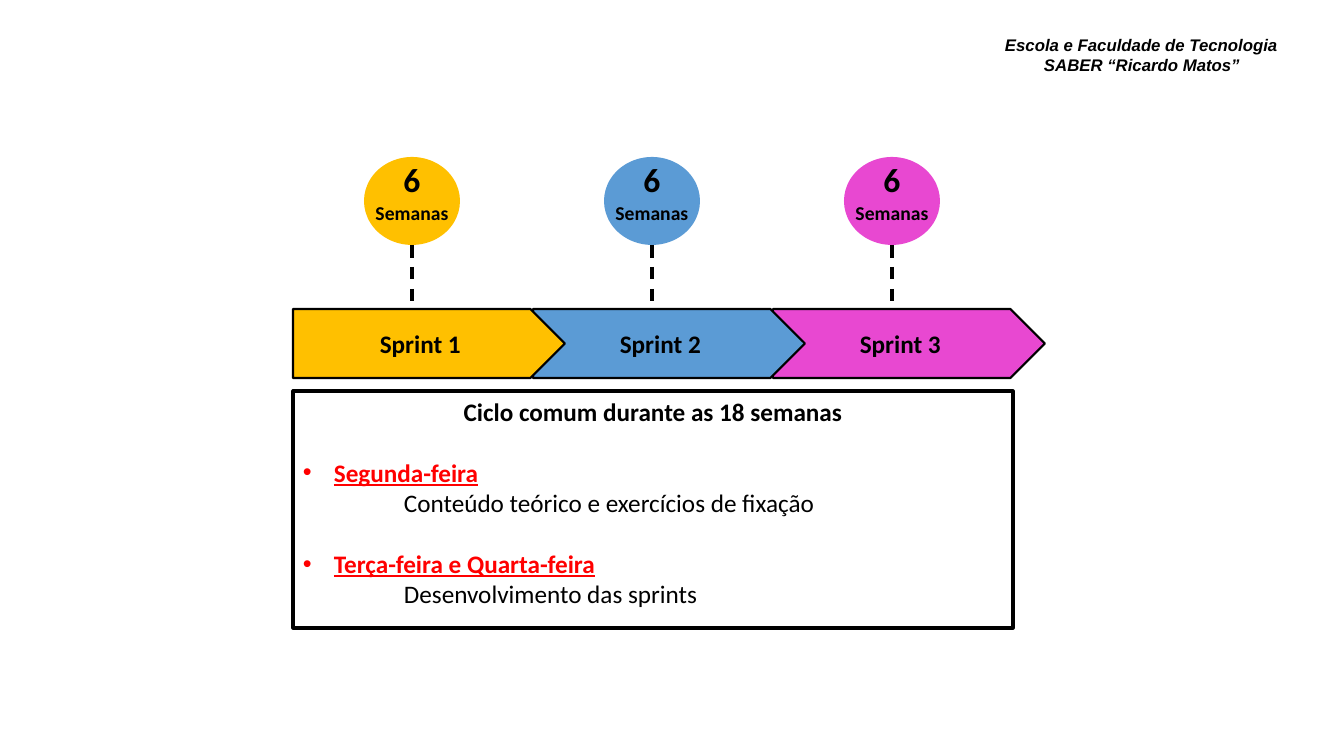
import dataclasses

import lxml.etree
import pptx
import pptx.dml.color
import pptx.enum.dml
import pptx.enum.shapes
import pptx.enum.text
import pptx.oxml.ns
import pptx.util

SHAPES = pptx.enum.shapes.MSO_SHAPE
CENTER = pptx.enum.text.PP_ALIGN.CENTER
MIDDLE = pptx.enum.text.MSO_ANCHOR.MIDDLE
QN = pptx.oxml.ns.qn


@dataclasses.dataclass(frozen=True)
class Theme:
    black: str = "000000"
    white: str = "FFFFFF"
    red: str = "FF0000"
    sprints: tuple = ("FFC000", "5B9BD5", "E848D1")
    body_font: str = "Calibri"
    header_font: str = "Arial"
    header_size: int = 12
    week_size: int = 14
    body_size: int = 18
    number_size: int = 24


theme = Theme()


def px(length):
    """Turn pixels (100.8 to the inch) into EMU."""
    return round(length * 914400 / 100.8)


def set_font(font, size, color=theme.black, bold=True, name=theme.body_font):
    font.name = name
    font.size = pptx.util.Pt(size)
    font.bold = bold
    font.color.rgb = pptx.dml.color.RGBColor.from_string(color)


presentation = pptx.Presentation()
presentation.slide_width, presentation.slide_height = px(1344), px(756)
slide = presentation.slides.add_slide(presentation.slide_layouts[6])
black = pptx.dml.color.RGBColor.from_string(theme.black)

# Header
header = slide.shapes.add_textbox(px(1004), px(35), px(276), px(66)).text_frame
header.word_wrap = True
header.margin_left = header.margin_right = header.margin_top = header.margin_bottom = 0
paragraph = header.paragraphs[0]
paragraph.text = "Escola e Faculdade de Tecnologia SABER “Ricardo Matos”"
paragraph.space_before = pptx.util.Pt(0.6)
set_font(paragraph.font, theme.header_size, name=theme.header_font)
paragraph.font.italic = True
properties = paragraph._p.get_or_add_pPr()
properties.set("marL", str(px(40)))
properties.set("indent", str(px(-39)))

# Timeline: the earlier sprint overlaps the later one, so draw from last to first
left, pitch = 293, 240
arrow_top, circle_top, circle_width, circle_height = 309, 157, 96, 88
for index in reversed(range(len(theme.sprints))):
    arrow_left = left + index * pitch
    center = arrow_left + 119
    color = pptx.dml.color.RGBColor.from_string(theme.sprints[index])

    circle = slide.shapes.add_shape(SHAPES.OVAL, px(center - circle_width / 2), px(circle_top),
                                    px(circle_width), px(circle_height))
    circle.shadow.inherit = False
    circle.fill.solid()
    circle.fill.fore_color.rgb = color
    circle.line.fill.background()

    weeks = slide.shapes.add_textbox(px(center - 55), px(169), px(110), px(60)).text_frame
    weeks.word_wrap = False
    weeks.vertical_anchor = MIDDLE
    paragraph = weeks.paragraphs[0]
    paragraph.alignment = CENTER
    paragraph.line_spacing = pptx.util.Pt(18)
    number = paragraph.add_run()
    number.text = "6"
    set_font(number.font, theme.number_size)
    paragraph.add_line_break()
    unit = paragraph.add_run()
    unit.text = "Semanas"
    set_font(unit.font, theme.week_size)

    stem = slide.shapes.add_connector(pptx.enum.shapes.MSO_CONNECTOR.STRAIGHT, px(center),
                                      px(circle_top + circle_height), px(center), px(arrow_top))
    stem.line.color.rgb = black
    stem.line.width = pptx.util.Pt(2.25)
    stem.line.dash_style = pptx.enum.dml.MSO_LINE.DASH
    lxml.etree.SubElement(stem._element.spPr, QN("a:effectLst"))

    arrow = slide.shapes.add_shape(SHAPES.PENTAGON, px(arrow_left), px(arrow_top), px(272), px(69))
    arrow.shadow.inherit = False
    arrow.fill.solid()
    arrow.fill.fore_color.rgb = color
    arrow.line.color.rgb = black
    arrow.line.width = pptx.util.Pt(1.5)
    arrow.text_frame.vertical_anchor = MIDDLE
    paragraph = arrow.text_frame.paragraphs[0]
    paragraph.text = f"Sprint {index + 1}"
    paragraph.alignment = CENTER
    set_font(paragraph.font, theme.body_size)

# Weekly cycle
cycle = slide.shapes.add_shape(SHAPES.RECTANGLE, px(left), px(391), px(720), px(237))
cycle.shadow.inherit = False
cycle.fill.solid()
cycle.fill.fore_color.rgb = pptx.dml.color.RGBColor.from_string(theme.white)
cycle.line.color.rgb = black
cycle.line.width = pptx.util.Pt(2.25)
frame = cycle.text_frame
frame.word_wrap = True
frame.vertical_anchor = pptx.enum.text.MSO_ANCHOR.TOP
paragraph = frame.paragraphs[0]
paragraph.text = "Ciclo comum durante as 18 semanas"
paragraph.alignment = CENTER
set_font(paragraph.font, theme.body_size)

activities = [
    ("Segunda-feira", "Conteúdo teórico e exercícios de fixação"),
    ("Terça-feira e Quarta-feira", "Desenvolvimento das sprints"),
]
for days, activity in activities:
    paragraph = frame.add_paragraph()
    paragraph.text = days
    paragraph.alignment = pptx.enum.text.PP_ALIGN.LEFT
    paragraph.space_before = pptx.util.Pt(22)
    set_font(paragraph.font, theme.body_size, theme.red)
    paragraph.font.underline = True
    properties = paragraph._p.get_or_add_pPr()
    properties.set("marL", str(px(31)))
    properties.set("indent", str(px(-31)))
    bullet_font = lxml.etree.Element(QN("a:buFont"), typeface=theme.header_font)
    bullet = lxml.etree.Element(QN("a:buChar"), char="•")
    position = properties.index(properties.find(QN("a:defRPr")))
    properties[position:position] = [bullet_font, bullet]

    paragraph = frame.add_paragraph()
    paragraph.text = activity
    paragraph.alignment = pptx.enum.text.PP_ALIGN.LEFT
    set_font(paragraph.font, theme.body_size, bold=False)
    paragraph._p.get_or_add_pPr().set("marL", str(px(101)))

presentation.save("out.pptx")
